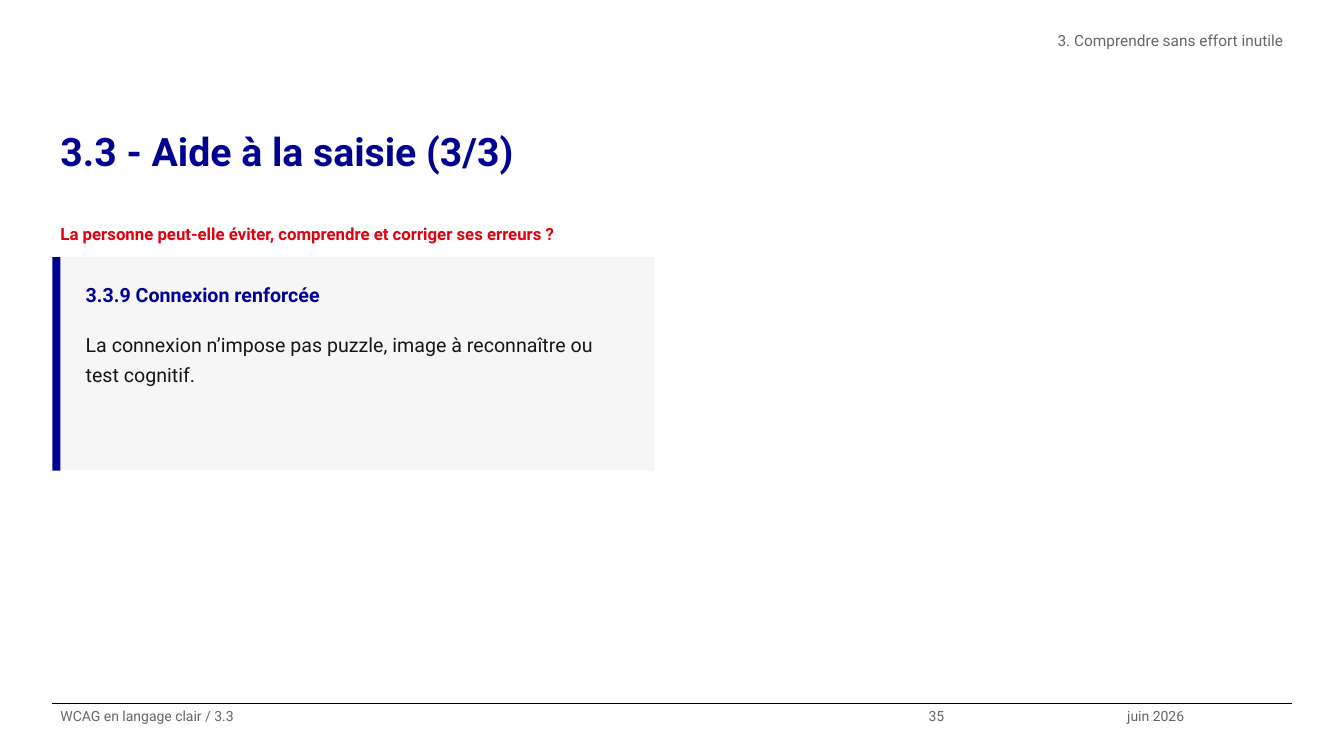
from pptx import Presentation
from pptx.dml.color import RGBColor
from pptx.enum.shapes import MSO_CONNECTOR as Link, MSO_SHAPE as Kind
from pptx.enum.text import MSO_ANCHOR as Anchor, PP_ALIGN as Align
from pptx.oxml.ns import qn
from pptx.util import Pt
from lxml.etree import SubElement

PX = 9144
BLUE, RED, GREY, INK, PALE = "000091", "E1000F", "666666", "161616", "F6F6F6"


def px(*vals):
    """Turn px lengths into EMU."""
    return [val * PX for val in vals]


def color(code):
    """Turn a hex string into a colour."""
    return RGBColor.from_string(code)


def write(slide, box, text, size, code, bold=False, pad=0, align=Align.LEFT):
    """Place one wrapped paragraph in a text box."""
    frame = slide.shapes.add_textbox(*px(*box)).text_frame
    frame.word_wrap = True
    frame.vertical_anchor = Anchor.TOP
    frame.margin_left = frame.margin_right = 8 * PX
    frame.margin_top = frame.margin_bottom = pad * PX
    para = frame.paragraphs[0]
    para.text = text
    para.alignment = align
    para.line_spacing = 1.25
    font = para.runs[0].font
    font.name, font.size, font.bold = "Roboto", Pt(size), bold
    font.color.rgb = color(code)


def block(slide, box, code):
    """Draw a plain filled rectangle."""
    shape = slide.shapes.add_shape(Kind.RECTANGLE, *px(*box))
    shape.shadow.inherit = False
    shape.fill.solid()
    shape.fill.fore_color.rgb = color(code)
    shape.line.fill.background()


def header(slide, box, part, title, ask):
    """Place the part name, the title and the guiding question."""
    left, top, width, _ = box
    write(slide, (left + width - 798, top, 798, 52), part, 11, GREY, align=Align.RIGHT)
    write(slide, (left, top + 89, width, 105), title, 28, BLUE, True)
    write(slide, (left, top + 186, width, 28), ask, 12, RED, True, 5)


def card(slide, box, name, text):
    """Draw a criterion card with its accent bar."""
    left, top, width, height = box
    bar = 8
    block(slide, (left + bar, top, width - bar, height), PALE)
    block(slide, (left, top, bar, height), BLUE)
    inner, wide = left + 25, width - 40
    write(slide, (inner, top + 15, wide, 45), name, 14, BLUE, True, 5)
    write(slide, (inner, top + 65, wide, height - 80), text, 14, INK, pad=5)


def footer(slide, box, cells):
    """Draw the rule and the footer cells below it."""
    left, top, width, height = box
    rule = slide.shapes.add_connector(Link.STRAIGHT, *px(left, top, left + width, top))
    rule.line.width = Pt(0.8)
    rule.line.color.rgb = color("000000")
    SubElement(rule._element.spPr, qn("a:effectLst"))
    for text, wide in cells:
        write(slide, (left, top, wide, height), text, 10, GREY)
        left += wide


def main():
    """Build and save the slide."""
    deck = Presentation()
    deck.slide_width, deck.slide_height = px(1333, 750)
    slide = deck.slides.add_slide(deck.slide_layouts[6])
    header(slide, (52, 26, 1229, 214), "3. Comprendre sans effort inutile",
           "3.3 - Aide à la saisie (3/3)",
           "La personne peut-elle éviter, comprendre et corriger ses erreurs ?")
    card(slide, (52, 255, 597, 212), "3.3.9 Connexion renforcée",
         "La connexion n’impose pas puzzle, image à reconnaître ou test cognitif.")
    footer(slide, (52, 698, 1229, 52),
           [("WCAG en langage clair / 3.3", 861), ("35", 197), ("juin 2026", 171)])
    deck.save("out.pptx")


if __name__ == "__main__":
    main()
